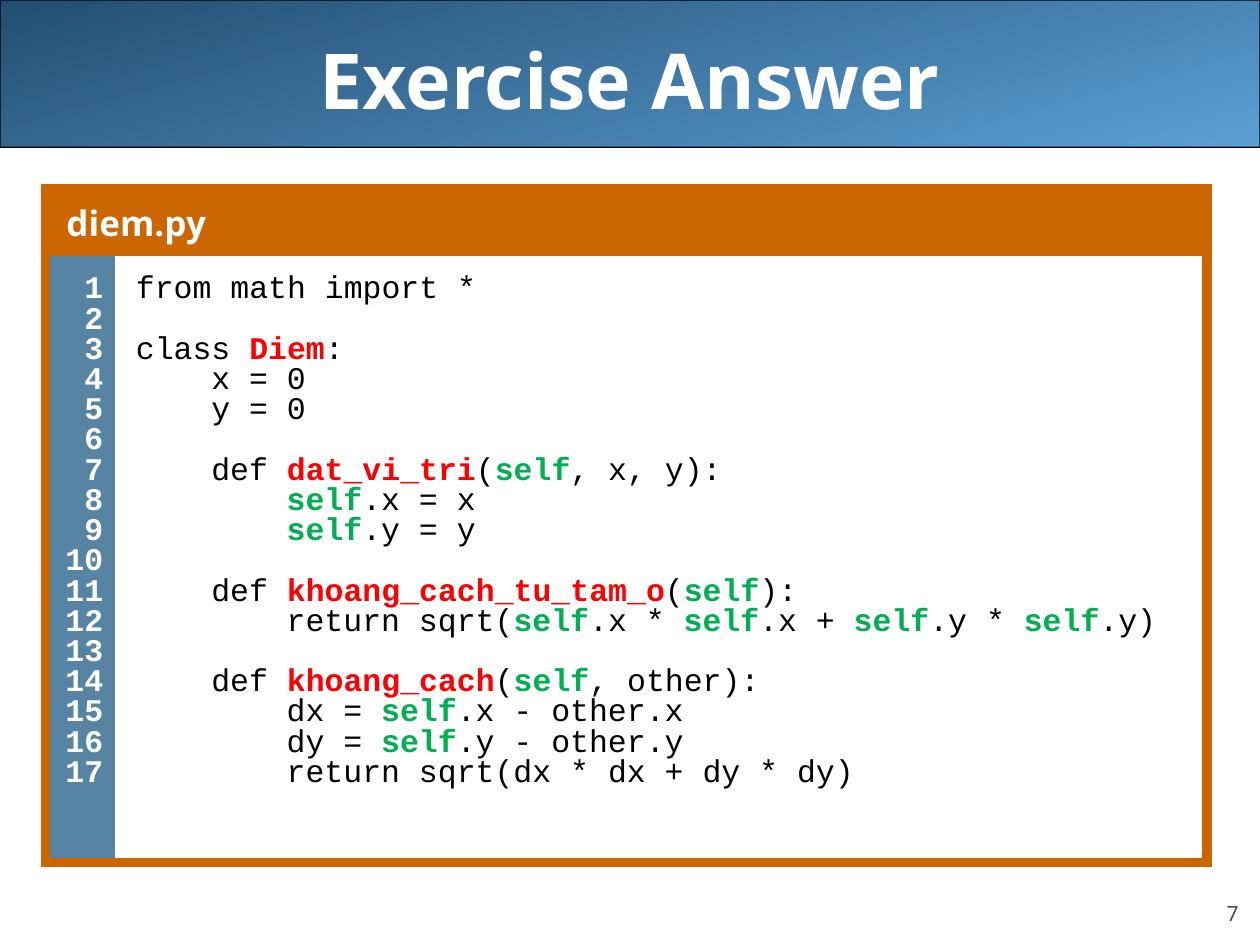
from dataclasses import dataclass

from lxml import etree
from pptx import Presentation
from pptx.dml.color import RGBColor
from pptx.enum.shapes import MSO_SHAPE
from pptx.enum.text import MSO_ANCHOR, PP_ALIGN
from pptx.oxml.ns import qn
from pptx.util import Cm, Pt

LEFT, CENTER, RIGHT = PP_ALIGN.LEFT, PP_ALIGN.CENTER, PP_ALIGN.RIGHT
MIDDLE, BOTTOM = MSO_ANCHOR.MIDDLE, MSO_ANCHOR.BOTTOM
ROUND = MSO_SHAPE.ROUNDED_RECTANGLE
PLAIN_STYLE = "{2D5ABB26-0587-4C30-8999-92F81FD0307C}"
SIDES = ("left", "top", "right", "bottom")


@dataclass(frozen=True)
class Theme:
    """Colours, fonts and type sizes of the slide."""
    white: str = "FFFFFF"
    black: str = "000000"
    gray: str = "424242"
    dark: str = "244E72"
    light: str = "5A9FD4"
    frame: str = "CC6600"
    gutter: str = "5784A3"
    name: str = "FF0000"
    own: str = "00B050"
    head_font: str = "Noto Sans"
    page_font: str = "Open Sans"
    code_font: str = "Courier New"
    title: int = 44
    file: int = 20
    code: int = 18
    page: int = 12


THEME = Theme()
BASE = 0.3      # left margin of table text, cm
STEP = 1.52     # one level of code indent, cm
PITCH = 17.26   # distance between code lines, points
GAP = 3.6       # space above a code line, points

# Indent level, blank lines above, text with highlighted names between bars
CODE = [
    (0, 0, "from math import *"),
    (0, 1, "class |Diem|:"),
    (1, 0, "x = 0"),
    (1, 0, "y = 0"),
    (1, 1, "def |dat_vi_tri|(|self|, x, y):"),
    (2, 0, "|self|.x = x"),
    (2, 0, "|self|.y = y"),
    (1, 1, "def |khoang_cach_tu_tam_o|(|self|):"),
    (2, 0, "return sqrt(|self|.x * |self|.x + |self|.y * |self|.y)"),
    (1, 1, "def |khoang_cach|(|self|, other):"),
    (2, 0, "dx = |self|.x - other.x"),
    (2, 0, "dy = |self|.y - other.y"),
    (2, 0, "return sqrt(dx * dx + dy * dy)"),
]


def apply(item, values):
    """Set each attribute named in a dict."""
    for key, value in values.items():
        setattr(item, key, value)


def pad(item, sizes):
    """Set the four inner margins in centimetres."""
    apply(item, {f"margin_{side}": Cm(size) for side, size in zip(SIDES, sizes)})


def add_run(para, text, color, font, size, bold):
    """Add one formatted run to a paragraph."""
    run = para.add_run()
    run.text = text
    apply(run.font, {"name": font, "size": Pt(size), "bold": bold})
    run.font.color.rgb = RGBColor.from_string(color)


def add_line(frame, first, form, margin=0):
    """Return a formatted paragraph, using the existing one for the first."""
    para = frame.paragraphs[0] if first else frame.add_paragraph()
    apply(para, form)
    if margin:
        props = para._p.get_or_add_pPr()
        props.set("marL", str(Cm(margin)))
        props.set("indent", "0")
    return para


def add_band(slide):
    """Draw the shaded title band."""
    band = slide.shapes.add_shape(ROUND, 0, 0, Cm(25.4), Cm(2.97))
    band.shadow.inherit = False
    band.adjustments[0] = 0.001
    band.fill.gradient()
    band.fill.gradient_angle = 285
    for stop, color in zip(band.fill.gradient_stops, (THEME.dark, THEME.light)):
        stop.color.rgb = RGBColor.from_string(color)
    band.line.color.rgb = RGBColor.from_string(THEME.black)
    band.line.width = Pt(0.74)


def add_label(slide, box, text, style, align, anchor, margins):
    """Add a text box holding one line."""
    frame = slide.shapes.add_textbox(*map(Cm, box)).text_frame
    apply(frame, {"word_wrap": True, "vertical_anchor": anchor})
    pad(frame, margins)
    add_run(add_line(frame, True, {"alignment": align}), text, *style)


def style_cell(cell, color, margins, edges):
    """Fill a cell, set its margins and draw the given edges."""
    pad(cell, margins)
    cell.fill.solid()
    cell.fill.fore_color.rgb = RGBColor.from_string(color)
    props = cell._tc.get_or_add_tcPr()
    for place, edge in enumerate(edges):
        line = etree.Element(qn(f"a:ln{edge}"), w=str(Pt(6)))
        fill = etree.SubElement(line, qn("a:solidFill"))
        etree.SubElement(fill, qn("a:srgbClr"), val=THEME.frame)
        props.insert(place, line)


def fill_code(frame):
    """Write the program with its names highlighted."""
    for place, (level, blanks, text) in enumerate(CODE):
        form = {"line_spacing": 0.67, "space_before": Pt(GAP + blanks * PITCH)}
        para = add_line(frame, place == 0, form, BASE + level * STEP)
        for part, word in enumerate(text.split("|")):
            bold = part % 2 == 1
            color = THEME.black
            if bold:
                color = THEME.own if word == "self" else THEME.name
            if word:
                add_run(para, word, color, THEME.code_font, THEME.code, bold)


def fill_count(frame):
    """Write the line numbers, flush right across the whole gutter."""
    form = {"alignment": RIGHT, "line_spacing": 0.67, "space_before": Pt(GAP)}
    total = sum(1 + blanks for _, blanks, _ in CODE)
    for place in range(total):
        para = add_line(frame, place == 0, form)
        add_run(para, str(place + 1), THEME.white, THEME.code_font, THEME.code, True)


def add_listing(slide):
    """Build the table with file name, line numbers and code."""
    shape = slide.shapes.add_table(2, 2, Cm(0.91), Cm(3.81), Cm(23.42), Cm(13.57))
    table = shape.table
    apply(table, {"first_row": False, "horz_banding": False})
    for style in shape.element.iter(qn("a:tableStyleId")):
        style.text = PLAIN_STYLE
    for column, width in zip(table.columns, (1.4, 22.02)):
        column.width = Cm(width)
    for row, height in zip(table.rows, (1.25, 12.32)):
        row.height = Cm(height)
    head, rest = table.cell(0, 0), table.cell(0, 1)
    head.merge(rest)
    for cell in (head, rest):
        style_cell(cell, THEME.frame, (0.13,) * 4, "LRTB")
    form = {"alignment": LEFT, "line_spacing": 1.07, "space_before": Pt(4)}
    para = add_line(head.text_frame, True, form, BASE)
    add_run(para, "diem.py", THEME.white, THEME.head_font, THEME.file, True)
    count, code = table.cell(1, 0), table.cell(1, 1)
    style_cell(count, THEME.gutter, (0.13, 0.58, 0.23, 0.58), "LTB")
    style_cell(code, THEME.white, (0.13, 0.58, 0.46, 0.58), "RTB")
    fill_count(count.text_frame)
    fill_code(code.text_frame)


def main():
    """Build and save the slide."""
    deck = Presentation()
    apply(deck, {"slide_width": Cm(25.4), "slide_height": Cm(19.05)})
    slide = deck.slides.add_slide(deck.slide_layouts[6])
    add_band(slide)
    add_label(slide, (22.86, 17.65, 2.11, 1.02), "7",
              (THEME.gray, THEME.page_font, THEME.page, False),
              RIGHT, BOTTOM, (0,) * 4)
    add_label(slide, (1.27, 0, 22.86, 3.18), "Exercise Answer",
              (THEME.white, THEME.head_font, THEME.title, True),
              CENTER, MIDDLE, (0.25, 0.13, 0.25, 0.13))
    add_listing(slide)
    deck.save("out.pptx")


main()
